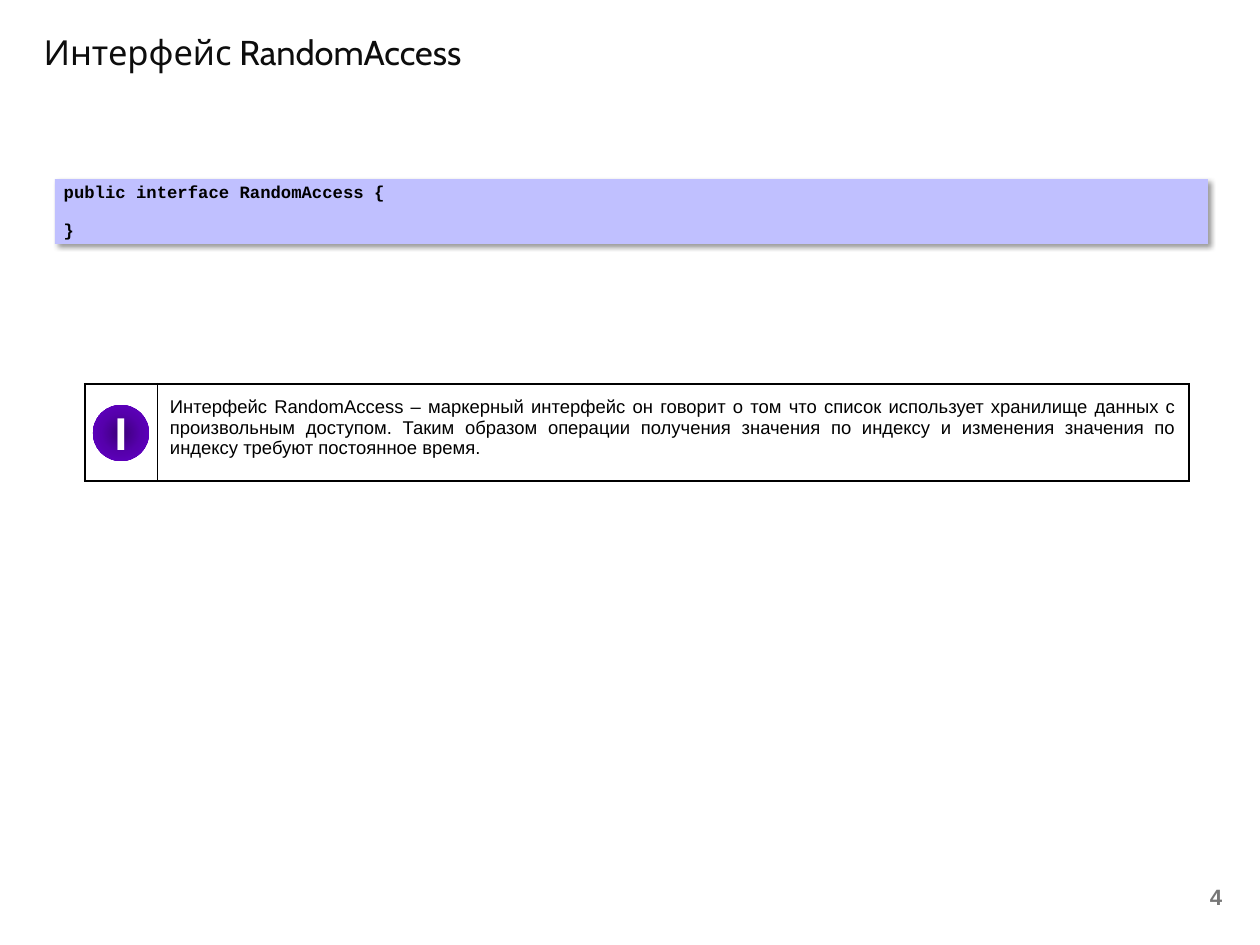
from lxml import etree
from pptx import Presentation
from pptx import util as u
from pptx.dml.color import RGBColor
from pptx.enum import shapes, text
from pptx.oxml import ns

PX = 914400 / 88.6
BLACK = RGBColor(0, 0, 0)
WHITE = RGBColor(0xFF, 0xFF, 0xFF)
TITLE_INK = RGBColor(0x0D, 0x0D, 0x0D)
GREY = RGBColor(0x77, 0x77, 0x77)
LILAC = RGBColor(0xC0, 0xC0, 0xFF)
BADGE_STOPS = [(0, RGBColor(0x3C, 0x00, 0x79)), (50, RGBColor(0x56, 0x00, 0xAC)),
               (100, RGBColor(0x66, 0x00, 0xCC))]

TITLE = "Интерфейс RandomAccess"
CODE = ["public interface RandomAccess {", "}"]
NOTE = ("Интерфейс RandomAccess – маркерный интерфейс он говорит о том что список "
        "использует хранилище данных с произвольным доступом. Таким образом операции "
        "получения значения по индексу и изменения значения по индексу требуют "
        "постоянное время.")
BADGE = "I"
PAGE = "4"

# left, top, width, height in pixels
TITLE_BOX = (35, 27, 977, 56)
CODE_BOX = (55, 179, 1153, 65)
NOTE_BOX = (85, 384, 1104, 97)
BADGE_COL = 72
BADGE_SIZE = 56
PAGE_BOX = (937, 873, 294, 47)
NOTE_INSET = 13
# line widths in points
THICK, THIN = 2.25, 0.5


def px(n):
    """Turn pixels into EMU."""
    return u.Emu(round(n * PX))


def put_text(tf, lines, size, font, color, bold=False, align=text.PP_ALIGN.LEFT,
             anchor=text.MSO_ANCHOR.TOP, inset=None, spacing=None, gap=0):
    """Write lines as paragraphs of one format, with a gap in points between them."""
    tf.word_wrap = True
    tf.vertical_anchor = anchor
    if inset is not None:
        tf.margin_left = tf.margin_right = tf.margin_top = tf.margin_bottom = px(inset)
    for i, line in enumerate(lines):
        p = tf.add_paragraph() if i else tf.paragraphs[0]
        p.alignment = align
        if spacing:
            p.line_spacing = spacing
        if i:
            p.space_before = u.Pt(gap)
        r = p.add_run()
        r.text = line
        r.font.size, r.font.name, r.font.bold = u.Pt(size), font, bold
        r.font.color.rgb = color


def add_box(s, box):
    """Add a text box and return its text frame."""
    return s.shapes.add_textbox(*map(px, box)).text_frame


def add_shape(s, kind, box):
    """Add a preset shape without line or shadow."""
    sp = s.shapes.add_shape(kind, *map(px, box))
    sp.shadow.inherit = False
    sp.line.fill.background()
    return sp


def add_color(parent, rgb, alpha=None):
    """Append an RGB colour, with opacity in percent if given."""
    clr = etree.SubElement(parent, ns.qn("a:srgbClr"), val=str(rgb))
    if alpha is not None:
        etree.SubElement(clr, ns.qn("a:alpha"), val=str(alpha * 1000))


def drop_shadow(sp, rgb, alpha, blur, dist, angle):
    """Give a shape an outer shadow."""
    effects = sp._element.spPr.find(ns.qn("a:effectLst"))
    shadow = etree.SubElement(effects, ns.qn("a:outerShdw"), blurRad=str(u.Pt(blur)),
                              dist=str(u.Pt(dist)), dir=str(angle * 60000),
                              algn="tl", rotWithShape="0")
    add_color(shadow, rgb, alpha)


def radial_fill(sp, stops):
    """Fill a shape with a gradient running outwards from its centre."""
    sp.fill.gradient()
    grad = sp._element.spPr.find(ns.qn("a:gradFill"))
    for child in list(grad):
        grad.remove(child)
    stop_list = etree.SubElement(grad, ns.qn("a:gsLst"))
    for pos, rgb in stops:
        add_color(etree.SubElement(stop_list, ns.qn("a:gs"), pos=str(pos * 1000)), rgb)
    circle = etree.SubElement(grad, ns.qn("a:path"), path="circle")
    etree.SubElement(circle, ns.qn("a:fillToRect"),
                     **dict.fromkeys("ltrb", "50000"))


def style_cell(cell, left, right):
    """Fill a cell white and draw its borders."""
    cell.fill.solid()
    cell.fill.fore_color.rgb = WHITE
    tc_pr = cell._tc.get_or_add_tcPr()
    widths = {"L": left, "R": right, "T": THICK, "B": THICK}
    for i, (side, width) in enumerate(widths.items()):
        ln = etree.Element(ns.qn(f"a:ln{side}"), w=str(u.Pt(width)))
        add_color(etree.SubElement(ln, ns.qn("a:solidFill")), BLACK)
        tc_pr.insert(i, ln)


prs = Presentation()
prs.slide_width, prs.slide_height = px(1260), px(945)
s = prs.slides.add_slide(prs.slide_layouts[6])

put_text(add_box(s, TITLE_BOX), [TITLE], 28, "Cabin", TITLE_INK)
put_text(add_box(s, PAGE_BOX), [PAGE], 18, "Arial", GREY, bold=True,
         align=text.PP_ALIGN.RIGHT, anchor=text.MSO_ANCHOR.MIDDLE)

code = add_shape(s, shapes.MSO_SHAPE.RECTANGLE, CODE_BOX)
code.fill.solid()
code.fill.fore_color.rgb = LILAC
drop_shadow(code, BLACK, alpha=40, blur=4, dist=3, angle=45)
put_text(code.text_frame, CODE, 14, "Courier New", BLACK, bold=True,
         spacing=0.9, gap=16)

left, top, width, height = NOTE_BOX
note = s.shapes.add_table(1, 2, *map(px, NOTE_BOX)).table
note.first_row = note.horz_banding = False
note.columns[0].width, note.columns[1].width = px(BADGE_COL), px(width - BADGE_COL)
badge_cell, note_cell = note.rows[0].cells
style_cell(badge_cell, THICK, THIN)
style_cell(note_cell, THIN, THICK)
for side in ("left", "right", "top", "bottom"):
    setattr(note_cell, f"margin_{side}", px(NOTE_INSET))
put_text(note_cell.text_frame, [NOTE], 15, "Arial", BLACK, align=text.PP_ALIGN.JUSTIFY)

badge_box = (left + (BADGE_COL - BADGE_SIZE) // 2, top + (height - BADGE_SIZE) // 2 + 1,
             BADGE_SIZE, BADGE_SIZE)
badge = add_shape(s, shapes.MSO_SHAPE.OVAL, badge_box)
radial_fill(badge, BADGE_STOPS)
put_text(badge.text_frame, [BADGE], 36, "Open Sans", WHITE, bold=True, inset=0,
         align=text.PP_ALIGN.CENTER, anchor=text.MSO_ANCHOR.MIDDLE)

prs.save("out.pptx")
